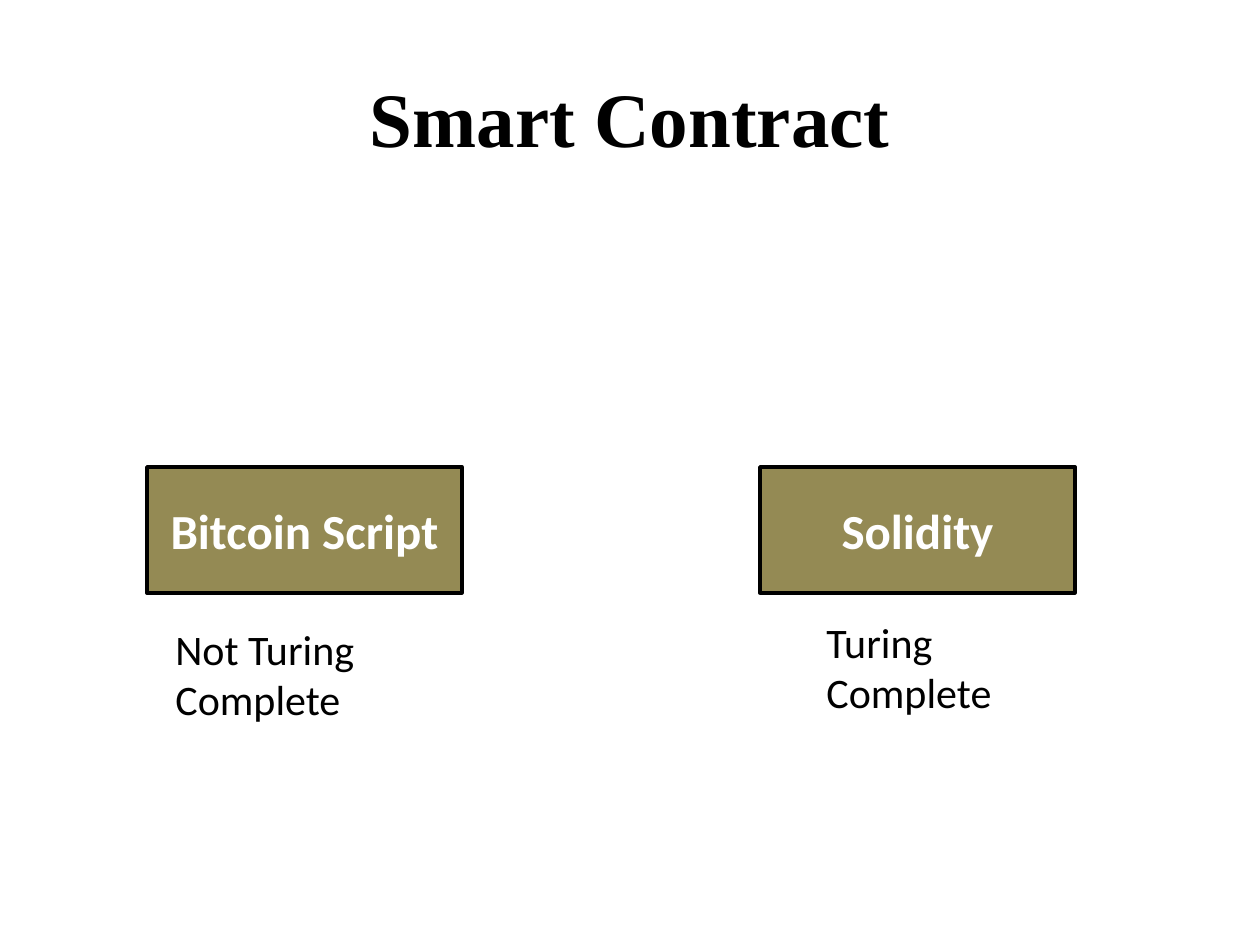
from pptx import Presentation
from pptx.dml.color import RGBColor
from pptx.enum.shapes import MSO_SHAPE
from pptx.enum.text import MSO_ANCHOR, MSO_AUTO_SIZE, PP_ALIGN
from pptx.util import Pt

RECTANGLE = MSO_SHAPE.RECTANGLE
MIDDLE = MSO_ANCHOR.MIDDLE
GROW = MSO_AUTO_SIZE.SHAPE_TO_FIT_TEXT
LEFT, CENTER = PP_ALIGN.LEFT, PP_ALIGN.CENTER

COLORS = {"text": "000000", "box": "948A54", "label": "FFFFFF"}
TITLE = "Smart Contract"
LANGUAGES = [
    {"name": "Bitcoin Script", "x": 147, "note": "Not Turing Complete", "note_at": (163, 617, 315, 115)},
    {"name": "Solidity", "x": 760, "note": "Turing Complete", "note_at": (814, 610, 284, 115)},
]
BOX_Y, BOX_W, BOX_H = 467, 315, 126
PX_PER_INCH = 126


def px(*lengths):
    return [round(v * 914400 / PX_PER_INCH) for v in lengths]


def color(key):
    return RGBColor.from_string(COLORS[key])


def write(shape, text, size, key, font="Calibri", bold=False, align=LEFT):
    tf = shape.text_frame
    tf.word_wrap = True
    p = tf.paragraphs[0]
    p.text = text
    p.alignment = align
    p.font.name, p.font.size, p.font.bold = font, Pt(size), bold
    p.font.color.rgb = color(key)
    return tf


prs = Presentation()
prs.slide_width, prs.slide_height = px(1260, 945)
s = prs.slides.add_slide(prs.slide_layouts[5])

title = s.shapes.title
title.left, title.top, title.width, title.height = px(63, 38, 1134, 157)
write(title, TITLE, 44, "text", "Times New Roman", True, CENTER).vertical_anchor = MIDDLE

for language in LANGUAGES:
    box = s.shapes.add_shape(RECTANGLE, *px(language["x"], BOX_Y, BOX_W, BOX_H))
    box.shadow.inherit = False
    box.fill.solid()
    box.fill.fore_color.rgb = color("box")
    box.line.color.rgb = color("text")
    box.line.width = Pt(2)
    write(box, language["name"], 28, "label", bold=True, align=CENTER).vertical_anchor = MIDDLE

    note = s.shapes.add_textbox(*px(*language["note_at"]))
    write(note, language["note"], 24, "text").auto_size = GROW

prs.save("out.pptx")
